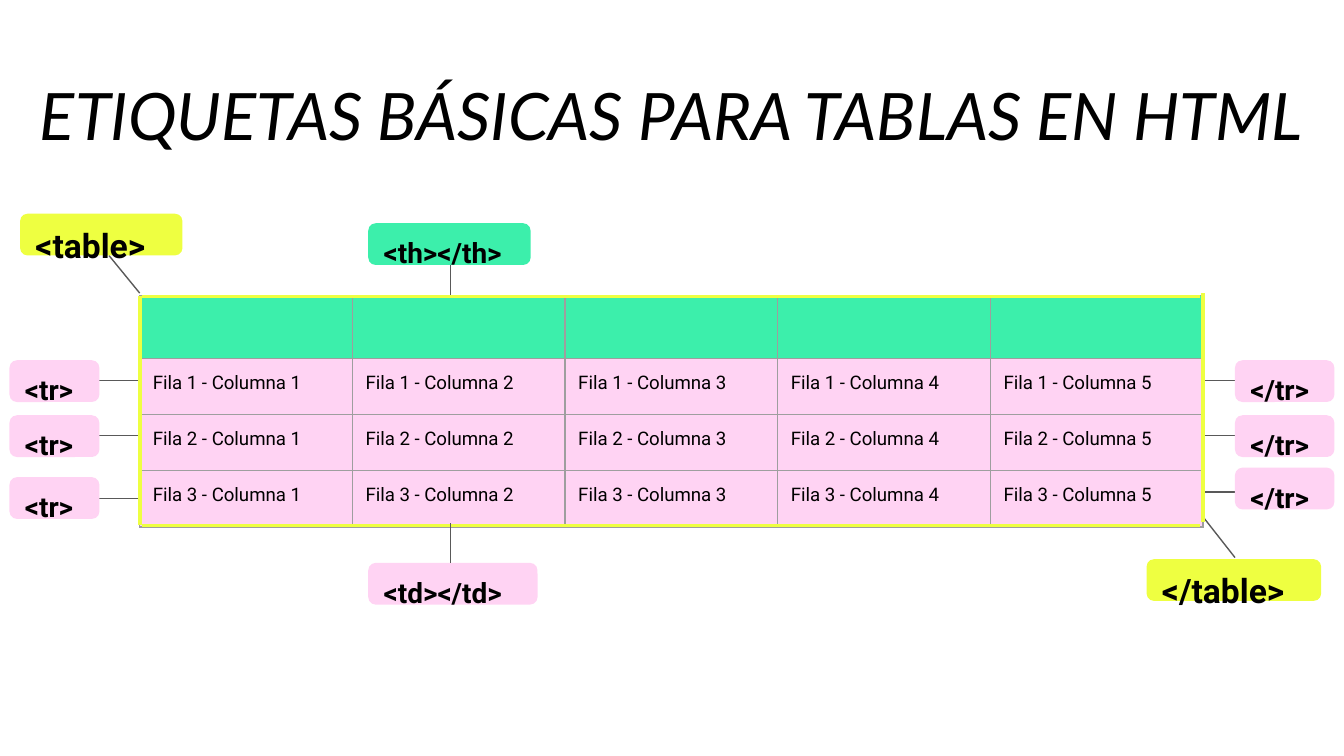
"""Build a slide that labels the basic HTML table tags."""
from dataclasses import dataclass

from lxml import etree
from pptx import Presentation
from pptx.dml.color import RGBColor
from pptx.enum.shapes import MSO_CONNECTOR, MSO_SHAPE
from pptx.enum.text import MSO_ANCHOR, PP_ALIGN
from pptx.oxml.ns import qn
from pptx.util import Cm, Pt

LINE = MSO_CONNECTOR.STRAIGHT
ROUNDED = MSO_SHAPE.ROUNDED_RECTANGLE
MIDDLE = MSO_ANCHOR.MIDDLE
CENTER = PP_ALIGN.CENTER

YELLOW, GREEN, PINK = "EEFF41", "3CEFAB", "FFD3F3"
BLACK, DARK_GREY, GREY = "000000", "595959", "9E9E9E"

INSET = Cm(0.25)
MARGINS = {f"margin_{side}": INSET for side in ("left", "top", "right", "bottom")}
FRAME_FORMAT = {**MARGINS, "word_wrap": True, "vertical_anchor": MIDDLE}
TITLE_PARAGRAPH = {"alignment": CENTER, "line_spacing": 1.5, "space_after": Pt(11)}
LABEL_PARAGRAPH = {"line_spacing": 1.5, "space_before": Pt(11)}
TITLE_FONT = {"name": "Lato", "size": Pt(35), "italic": True}
CELL_FONT = {"name": "Roboto", "size": Pt(10)}

LABEL_HEIGHT = 0.79
TABLE_LEFT, TABLE_TOP = 2.64, 5.59
COLUMNS, COLUMN_WIDTH = 5, 4.02
HEADER_HEIGHT, ROW_HEIGHT = 1.19, 1.06
ROWS = 3


@dataclass(frozen=True)
class Label:
    """A rounded tag label, in centimetres."""
    text: str
    left: float
    top: float
    width: float
    fill: str
    size: int = 15


@dataclass(frozen=True)
class Line:
    """A straight line between two points, in centimetres."""
    x1: float
    y1: float
    x2: float
    y2: float
    color: str = DARK_GREY
    width: float = 0.75


TAG_LABELS = [
    Label("<table>", 0.38, 4.04, 3.07, YELLOW, 18),
    Label("</table>", 21.67, 10.57, 3.3, YELLOW, 18),
    Label("<th></th>", 6.96, 4.22, 3.07, GREEN),
    Label("<td></td>", 6.96, 10.64, 3.2, PINK),
    *[Label("<tr>", 0.18, top, 1.7, PINK) for top in (6.81, 7.85, 9.02)],
    *[Label("</tr>", 23.34, top, 1.88, PINK) for top in (6.81, 7.85, 8.84)],
]
LEADERS = [
    Line(2.64, 5.54, 2.06, 4.83),
    Line(23.34, 10.54, 22.76, 9.8),
    Line(8.51, 5.59, 8.51, 5),
    *[Line(2.64, y, 1.88, y) for y in (7.19, 8.23, 9.42)],
    *[Line(23.52, y, 22.76, y) for y in (7.19, 8.23, 9.3)],
]
TABLE_OUTLINE = [
    Line(2.64, 5.59, 2.64, 9.93, YELLOW, 2.25),
    Line(22.73, 5.54, 22.73, 9.86, YELLOW, 2.25),
    Line(2.69, 5.61, 22.68, 5.61, YELLOW, 1.5),
    Line(2.69, 9.93, 22.68, 9.93, YELLOW, 1.5),
]
CELL_LEADER = Line(8.51, 10.64, 8.51, 9.88)


def rgb(value: str) -> RGBColor:
    """Turn a hex string into a colour."""
    return RGBColor.from_string(value)


def apply(target, values: dict) -> None:
    """Set each attribute given in a dict of format values."""
    for name, value in values.items():
        setattr(target, name, value)


def add_run(p, text: str, font: dict) -> None:
    """Add a black run with the given font values."""
    r = p.add_run()
    r.text = text
    apply(r.font, font)
    r.font.color.rgb = rgb(BLACK)


def add_title(s, text: str) -> None:
    """Add the slide heading."""
    tf = s.shapes.add_textbox(Cm(0), Cm(0.43), Cm(25.4), Cm(2.74)).text_frame
    apply(tf, FRAME_FORMAT)
    p = tf.paragraphs[0]
    apply(p, TITLE_PARAGRAPH)
    add_run(p, text, TITLE_FONT)


def add_label(s, label: Label) -> None:
    """Add one rounded tag label."""
    sp = s.shapes.add_shape(ROUNDED, Cm(label.left), Cm(label.top),
                            Cm(label.width), Cm(LABEL_HEIGHT))
    sp.adjustments[0] = 0.18
    sp.shadow.inherit = False
    sp.fill.solid()
    sp.fill.fore_color.rgb = rgb(label.fill)
    sp.line.fill.background()
    apply(sp.text_frame, FRAME_FORMAT)
    p = sp.text_frame.paragraphs[0]
    apply(p, {"alignment": PP_ALIGN.LEFT, **LABEL_PARAGRAPH})
    add_run(p, label.text, {"name": "Roboto", "size": Pt(label.size), "bold": True})


def add_line(s, line: Line) -> None:
    """Add one straight line without a shadow."""
    sp = s.shapes.add_connector(LINE, Cm(line.x1), Cm(line.y1), Cm(line.x2), Cm(line.y2))
    sp.line.color.rgb = rgb(line.color)
    sp.line.width = Pt(line.width)
    etree.SubElement(sp._element.spPr, qn("a:effectLst"))


def style_cell(cell, fill: str) -> None:
    """Give a cell thin grey borders and a solid fill."""
    tc_pr = cell._tc.get_or_add_tcPr()
    for side in ("lnL", "lnR", "lnT", "lnB"):
        ln = etree.SubElement(tc_pr, qn(f"a:{side}"), w=str(Pt(0.75)))
        solid = etree.SubElement(ln, qn("a:solidFill"))
        etree.SubElement(solid, qn("a:srgbClr"), val=GREY)
    cell.fill.solid()
    cell.fill.fore_color.rgb = rgb(fill)


def add_grid(s) -> None:
    """Add the example table with an empty header row."""
    height = HEADER_HEIGHT + ROWS * ROW_HEIGHT
    table = s.shapes.add_table(ROWS + 1, COLUMNS, Cm(TABLE_LEFT), Cm(TABLE_TOP),
                               Cm(COLUMNS * COLUMN_WIDTH), Cm(height)).table
    apply(table, {"first_row": False, "horz_banding": False})
    for column in table.columns:
        column.width = Cm(COLUMN_WIDTH)
    for i, row in enumerate(table.rows):
        row.height = Cm(ROW_HEIGHT if i else HEADER_HEIGHT)
        for j, cell in enumerate(row.cells, start=1):
            style_cell(cell, PINK if i else GREEN)
            if i:
                apply(cell, MARGINS)
                add_run(cell.text_frame.paragraphs[0], f"Fila {i} - Columna {j}", CELL_FONT)


def main() -> None:
    """Build and save the slide."""
    prs = Presentation()
    apply(prs, {"slide_width": Cm(25.4), "slide_height": Cm(14.29)})
    s = prs.slides.add_slide(prs.slide_layouts[6])
    add_title(s, "ETIQUETAS BÁSICAS PARA TABLAS EN HTML")
    add_grid(s)
    for line in LEADERS:
        add_line(s, line)
    for label in TAG_LABELS:
        add_label(s, label)
    for line in [*TABLE_OUTLINE, CELL_LEADER]:
        add_line(s, line)
    prs.save("out.pptx")


if __name__ == "__main__":
    main()
